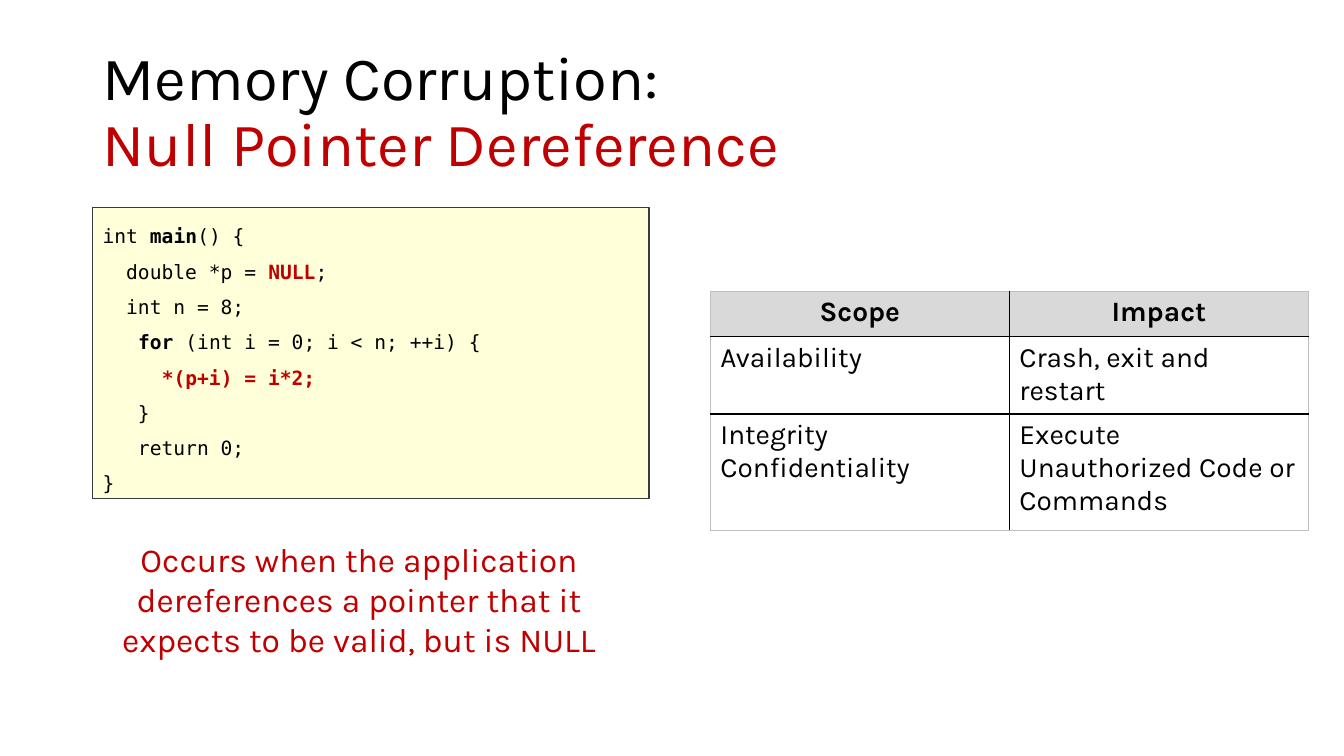
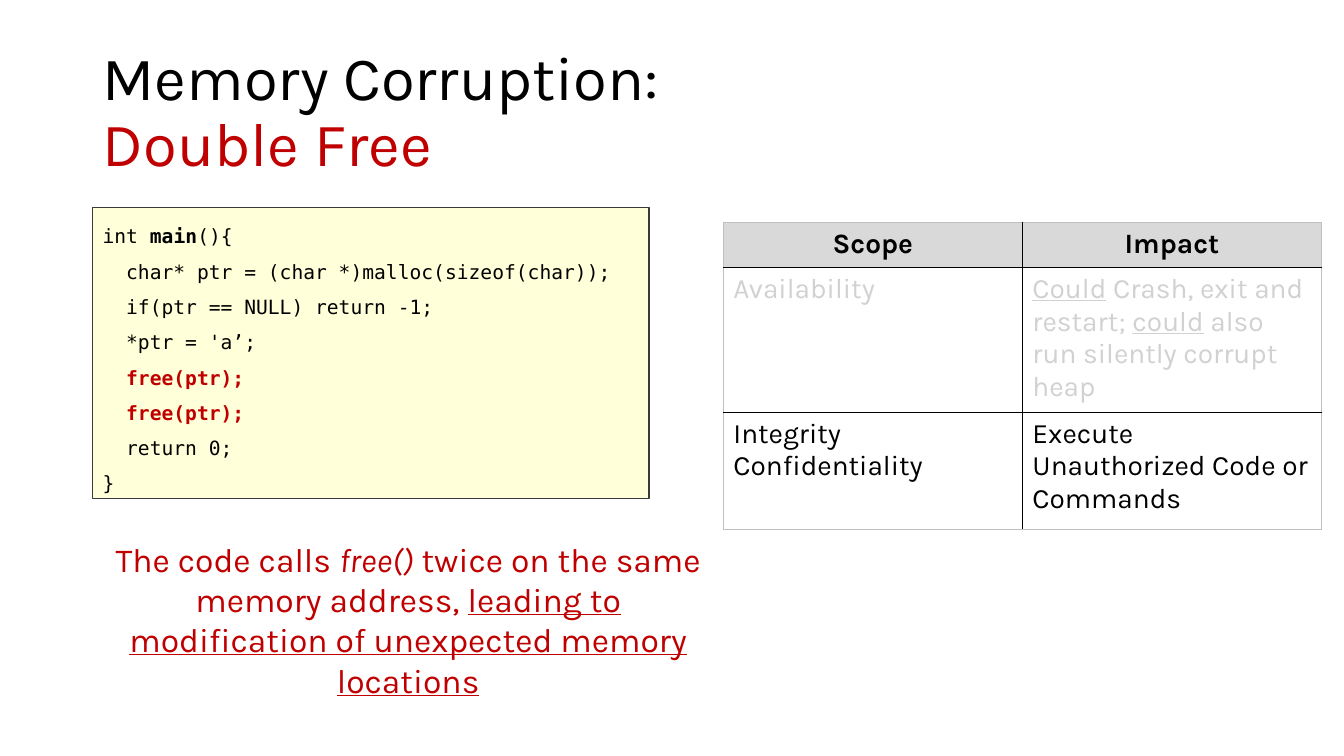
from lxml.etree import SubElement
from pptx import Presentation
from pptx.dml.color import RGBColor
from pptx.enum.shapes import MSO_SHAPE
from pptx.enum.text import MSO_ANCHOR, MSO_AUTO_SIZE, PP_ALIGN
from pptx.oxml import parse_xml
from pptx.oxml.ns import nsdecls, qn
from pptx.util import Pt

# Shared look
BLACK, RED, FADED = "000000", "C00000", "D1D1D1"
HEADER_FILL, OUTER_EDGE = "D9D9D9", "BFBFBF"
CODE_FILL, CODE_EDGE = "FFFF00", "3A3A3A"
SANS, MONO = "Karla", "DejaVu Sans Mono"
LEFT = 66.2
COLUMN_WIDTH = 213.6

# Run styles
PLAIN = {}
BOLD = {"bold": True}
ALERT = {"bold": True, "color": RED}
ITALIC = {"italic": True}
UNDERLINE = {"underline": True}

rgb = RGBColor.from_string


def add_runs(paragraph, runs, face, size, color=BLACK):
    for text, style in runs:
        run = paragraph.add_run()
        run.text = text
        font = run.font
        font.name, font.size = face, Pt(size)
        font.bold = style.get("bold", False)
        font.italic = style.get("italic", False)
        font.underline = style.get("underline", False)
        font.color.rgb = rgb(style.get("color", color))


def set_border(cell, side, color, width):
    cell._tc.get_or_add_tcPr().append(parse_xml(
        f'<a:{side} {nsdecls("a")} w="{Pt(width)}"><a:solidFill>'
        f'<a:srgbClr val="{color}"/></a:solidFill></a:{side}>'))


# Content: a cell is a list of paragraphs, a paragraph a list of runs
header_row = [[[("Scope", BOLD)]], [[("Impact", BOLD)]]]
execution_row = [[[("Integrity", PLAIN)], [("Confidentiality", PLAIN)]],
                 [[("Execute Unauthorized Code or Commands", PLAIN)]]]

topics = [
    {
        "name": "Null Pointer Dereference",
        "code": [
            [("int ", PLAIN), ("main", BOLD), ("() {", PLAIN)],
            [("  double *p = ", PLAIN), ("NULL", ALERT), (";", PLAIN)],
            [("  int n = 8;", PLAIN)],
            [("   ", PLAIN), ("for ", BOLD), ("(int i = 0; i < n; ++i) {", PLAIN)],
            [("     ", PLAIN), ("*(p+i) = i*2;", ALERT)],
            [("   }", PLAIN)],
            [("   return 0;", PLAIN)],
            [("}", PLAIN)],
        ],
        "caption": [("Occurs when the application dereferences a pointer "
                     "that it expects to be valid, but is NULL", PLAIN)],
        "caption_width": 371.5,
        "caption_indent": 9,
        "availability": [[[("Availability", PLAIN)]],
                         [[("Crash, exit and restart", PLAIN)]]],
        "availability_color": BLACK,
        "table_at": (507.4, 208),
        "row_heights": (32.4, 54, 83.5),
    },
    {
        "name": "Double Free",
        "code": [
            [("int ", PLAIN), ("main", BOLD), ("(){", PLAIN)],
            [("  char* ptr = (char *)malloc(sizeof(char));", PLAIN)],
            [("  if(ptr == NULL) return -1;", PLAIN)],
            [("  *ptr = 'a’;", PLAIN)],
            [("  free(ptr);", ALERT)],
            [("  free(ptr);", ALERT)],
            [("  return 0;", PLAIN)],
            [("}", PLAIN)],
        ],
        "caption": [("The code calls ", PLAIN), ("free()", ITALIC),
                    (" twice on the same memory address, ", PLAIN),
                    ("leading to modification of unexpected memory locations",
                     UNDERLINE)],
        "caption_width": 450.7,
        "caption_indent": 0,
        "availability": [[[("Availability", PLAIN)]],
                         [[("Could", UNDERLINE),
                           (" Crash, exit and restart; ", PLAIN),
                           ("could", UNDERLINE),
                           (" also run silently corrupt heap", PLAIN)]]],
        "availability_color": FADED,
        "table_at": (516.7, 158.8),
        "row_heights": (32.4, 103, 83.5),
    },
]

deck = Presentation()
deck.slide_width, deck.slide_height = Pt(960), Pt(540)

for topic in topics:
    slide = deck.slides.add_slide(deck.slide_layouts[1])

    # Two-line title
    title = slide.shapes.title
    title.left, title.top, title.width, title.height = Pt(LEFT), Pt(28.8), Pt(851), Pt(104.4)
    heading = title.text_frame
    heading.auto_size = MSO_AUTO_SIZE.NONE
    heading.vertical_anchor = MSO_ANCHOR.MIDDLE
    for i, (line, color) in enumerate([("Memory Corruption:", BLACK), (topic["name"], RED)]):
        paragraph = heading.add_paragraph() if i else heading.paragraphs[0]
        paragraph.alignment = PP_ALIGN.LEFT
        paragraph.line_spacing = 0.9
        add_runs(paragraph, [(line, PLAIN)], SANS, 44, color)

    # Caption below the code
    caption = slide.placeholders[1]
    caption.left, caption.top = Pt(LEFT), Pt(381)
    caption.width, caption.height = Pt(topic["caption_width"]), Pt(130)
    caption.text_frame.auto_size = MSO_AUTO_SIZE.NONE
    paragraph = caption.text_frame.paragraphs[0]
    properties = paragraph._p.get_or_add_pPr()
    properties.set("marL", str(Pt(topic["caption_indent"])))
    properties.set("indent", "0")
    SubElement(properties, qn("a:buNone"))
    paragraph.alignment = PP_ALIGN.CENTER
    paragraph.space_before = Pt(0)
    add_runs(paragraph, topic["caption"], SANS, 24, RED)

    # Code listing on translucent yellow
    listing = slide.shapes.add_shape(
        MSO_SHAPE.RECTANGLE, Pt(LEFT), Pt(148.3), Pt(397.4), Pt(208))
    listing.shadow.inherit = False
    listing.fill.solid()
    listing.fill.fore_color.rgb = rgb(CODE_FILL)
    tint = listing._element.spPr.find(qn("a:solidFill"))[0]
    SubElement(tint, qn("a:alpha"), val="15000")
    listing.line.color.rgb = rgb(CODE_EDGE)
    listing.line.width = Pt(1)
    code = listing.text_frame
    code.word_wrap = True
    code.auto_size = MSO_AUTO_SIZE.SHAPE_TO_FIT_TEXT
    code.vertical_anchor = MSO_ANCHOR.TOP
    for i, line in enumerate(topic["code"]):
        paragraph = code.add_paragraph() if i else code.paragraphs[0]
        paragraph.alignment = PP_ALIGN.LEFT
        paragraph.line_spacing = 1.5
        add_runs(paragraph, line, MONO, 14)

    # Scope and impact table
    rows = [header_row, topic["availability"], execution_row]
    row_colors = [BLACK, topic["availability_color"], BLACK]
    heights = topic["row_heights"]
    left, top = topic["table_at"]
    impacts = slide.shapes.add_table(
        3, 2, Pt(left), Pt(top), Pt(2 * COLUMN_WIDTH), Pt(sum(heights))).table
    impacts.first_row = impacts.horz_banding = False
    for column in impacts.columns:
        column.width = Pt(COLUMN_WIDTH)
    for r, row in enumerate(rows):
        impacts.rows[r].height = Pt(heights[r])
        for c, paragraphs in enumerate(row):
            cell = impacts.cell(r, c)
            outer_sides = {"lnL": c == 0, "lnR": c == 1, "lnT": r == 0, "lnB": r == 2}
            for side, is_outer in outer_sides.items():
                set_border(cell, side, *((OUTER_EDGE, 0.5) if is_outer else (BLACK, 1)))
            if r == 0:
                cell.fill.solid()
                cell.fill.fore_color.rgb = rgb(HEADER_FILL)
            else:
                cell.fill.background()
            for i, runs in enumerate(paragraphs):
                frame = cell.text_frame
                paragraph = frame.add_paragraph() if i else frame.paragraphs[0]
                paragraph.alignment = PP_ALIGN.LEFT if r else PP_ALIGN.CENTER
                add_runs(paragraph, runs, SANS, 20, row_colors[r])

deck.save("out.pptx")
